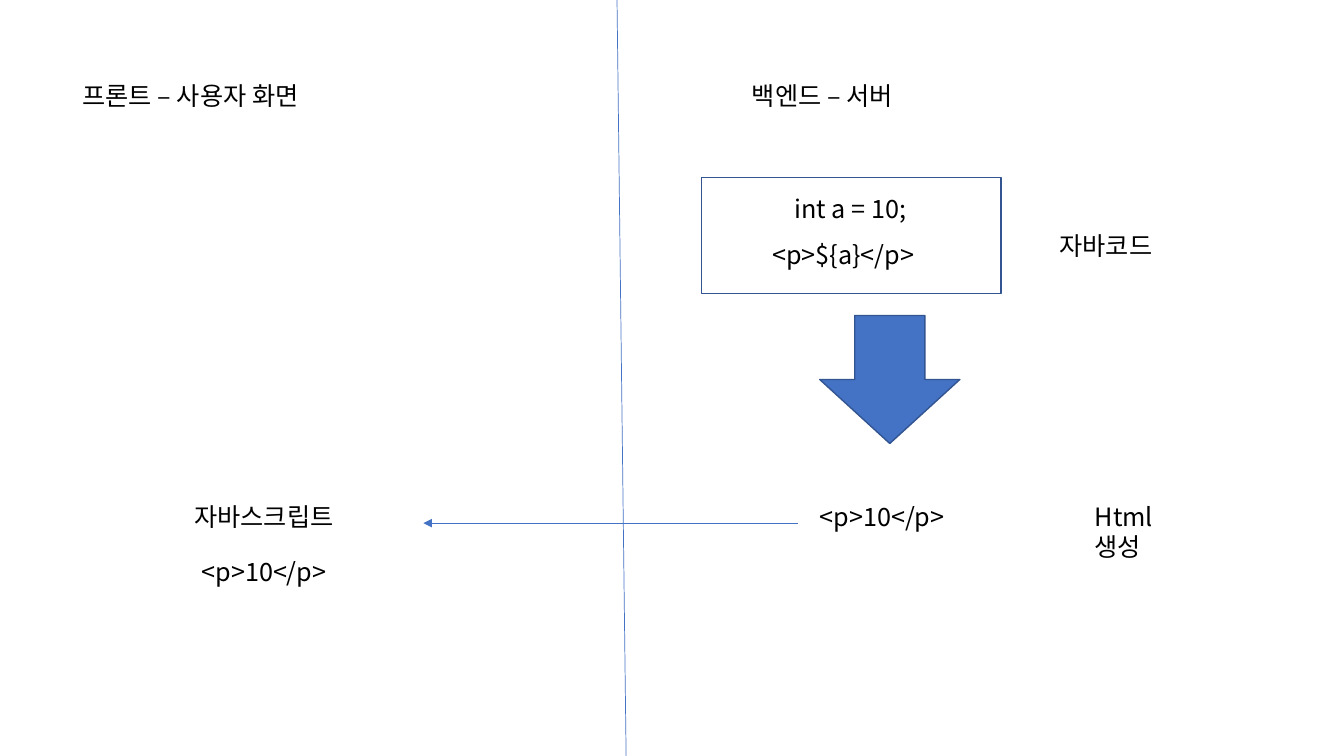
from dataclasses import dataclass

from lxml import etree
from pptx import Presentation, util as u
from pptx.dml.color import RGBColor
from pptx.enum import shapes, text
from pptx.oxml.ns import qn

COLORS = {"ink": "000000", "accent": "4472C4", "edge": "325491"}
FONT = "Noto Sans CJK KR"
HEADING_TOP, RESULT_TOP = 0.75, 4.92


@dataclass
class Label:
    words: str
    left: float
    top: float
    width: float
    wrap: bool = False


@dataclass
class Block:
    kind: shapes.MSO_SHAPE
    left: float
    top: float
    width: float
    height: float
    fill: str | None = None


@dataclass
class Line:
    start: tuple[float, float]
    end: tuple[float, float]
    arrow: bool = False


def color(name: str) -> RGBColor:
    return RGBColor.from_string(COLORS[name])


def add_label(slide, label: Label) -> None:
    box = slide.shapes.add_textbox(u.Inches(label.left), u.Inches(label.top),
                                   u.Inches(label.width), u.Inches(0.4))
    frame = box.text_frame
    frame.word_wrap = label.wrap
    frame.auto_size = text.MSO_AUTO_SIZE.SHAPE_TO_FIT_TEXT
    paragraph = frame.paragraphs[0]
    paragraph.text = label.words
    font = paragraph.font
    font.size, font.name = u.Pt(18), FONT
    font.color.rgb = color("ink")
    # Korean glyphs take the East Asian typeface
    properties = paragraph._p.find(qn("a:pPr")).find(qn("a:defRPr"))
    etree.SubElement(properties, qn("a:ea"), typeface=FONT)


def add_block(slide, block: Block) -> None:
    shape = slide.shapes.add_shape(
        block.kind, u.Inches(block.left), u.Inches(block.top),
        u.Inches(block.width), u.Inches(block.height))
    shape.shadow.inherit = False
    if block.fill:
        shape.fill.solid()
        shape.fill.fore_color.rgb = color(block.fill)
    else:
        shape.fill.background()
    shape.line.color.rgb = color("edge")
    shape.line.width = u.Pt(1)


def add_line(slide, line: Line) -> None:
    connector = slide.shapes.add_connector(
        shapes.MSO_CONNECTOR.STRAIGHT,
        *(u.Inches(value) for value in line.start + line.end))
    connector.line.color.rgb = color("accent")
    connector.line.width = u.Pt(0.5)
    if line.arrow:
        etree.SubElement(connector.line._get_or_add_ln(), qn("a:tailEnd"), type="triangle")
    etree.SubElement(connector._element.spPr, qn("a:effectLst"))


presentation = Presentation()
presentation.slide_width, presentation.slide_height = u.Inches(13.33), u.Inches(7.5)
slide = presentation.slides.add_slide(presentation.slide_layouts[6])

# Divider between front end and back end, and the response to the browser
divider = Line((6.12, 0), (6.21, 7.5))
response = Line((7.91, 5.19), (4.2, 5.19), arrow=True)
for line in (divider, response):
    add_line(slide, line)

# Java code frame and the step down to the generated markup
code_frame = Block(shapes.MSO_SHAPE.RECTANGLE, 6.96, 1.76, 2.97, 1.15)
generation = Block(shapes.MSO_SHAPE.DOWN_ARROW, 8.13, 3.13, 1.39, 1.27, "accent")
for block in (code_frame, generation):
    add_block(slide, block)

# Headings, code and captions
labels = [
    Label("프론트 – 사용자 화면", 0.72, HEADING_TOP, 2.62),
    Label("백엔드 – 서버", 7.36, HEADING_TOP, 1.77),
    Label("int a = 10;", 7.78, 1.87, 1.41),
    Label("<p>${a}</p>", 7.56, 2.33, 1.74),
    Label("자바코드", 10.41, 2.24, 1.21),
    Label("<p>10</p>", 8.03, RESULT_TOP, 1.59),
    Label("Html 생성", 10.76, RESULT_TOP, 1.1, wrap=True),
    Label("자바스크립트", 1.83, RESULT_TOP, 1.72),
    Label("<p>10</p>", 1.9, 5.47, 1.59),
]
for label in labels:
    add_label(slide, label)

presentation.save("out.pptx")
